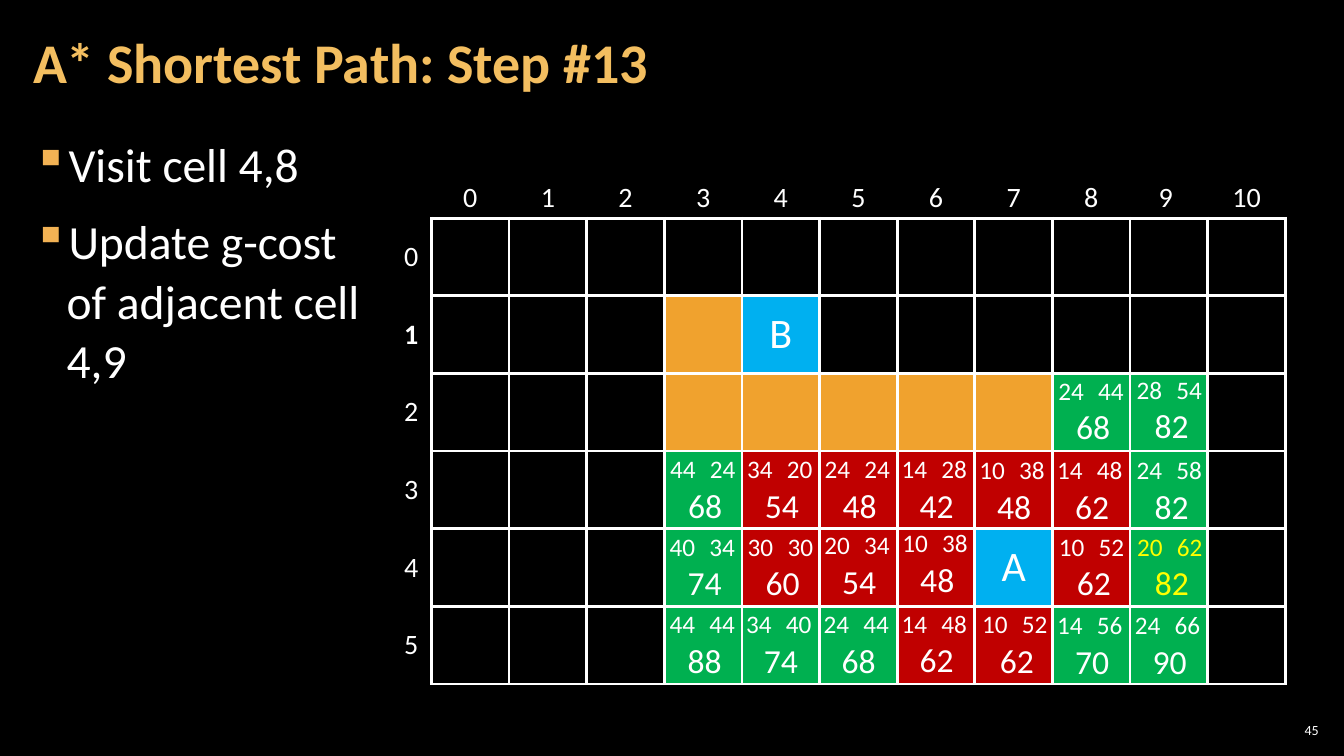
import pptx
import pptx.dml.color
import pptx.enum.text
import pptx.oxml
import pptx.oxml.ns
import pptx.util

Pt = pptx.util.Pt
ALIGN = pptx.enum.text.PP_ALIGN
MIDDLE = pptx.enum.text.MSO_ANCHOR.MIDDLE
NS = pptx.oxml.ns.nsdecls("a")
COLORS = {"black": "000000", "white": "FFFFFF", "title": "F3BE60", "bullet": "F2B254",
          "wall": "F0A22E", "end": "00B0F0", "open": "00B050", "closed": "C00000",
          "updated": "FFFF00"}


def rgb(name):
    return pptx.dml.color.RGBColor.from_string(COLORS[name])


def write(tf, lines, size, color="white", bold=False, align=ALIGN.LEFT):
    """Fill a text frame with one paragraph per line."""
    for i, line in enumerate(lines):
        p = tf.paragraphs[0] if i == 0 else tf.add_paragraph()
        p.text = line
        p.alignment = align
        for r in p.runs:
            r.font.name = "Calibri"
            r.font.size = Pt(size)
            r.font.bold = bold
            r.font.color.rgb = rgb(color)


prs = pptx.Presentation()
prs.slide_width, prs.slide_height = Pt(960), Pt(540)
s = prs.slides.add_slide(prs.slide_layouts[6])
s.background.fill.solid()
s.background.fill.fore_color.rgb = rgb("black")

# Title
tf = s.shapes.add_textbox(Pt(15), Pt(3), Pt(754), Pt(87)).text_frame
tf.word_wrap = True
tf.vertical_anchor = MIDDLE
tf.margin_left = tf.margin_right = Pt(8.6)
write(tf, ["A* Shortest Path: Step #13"], 40, "title", True)
tf.paragraphs[0].line_spacing = 0.9

# Bullets
tf = s.shapes.add_textbox(Pt(15), Pt(90.7), Pt(929.5), Pt(438.5)).text_frame
tf.word_wrap = True
tf.margin_left = tf.margin_right = Pt(8.6)
write(tf, ["Visit cell 4,8", "Update g-cost\nof adjacent cell\n4,9"], 34)
for i, p in enumerate(tf.paragraphs):
    p.line_spacing = 1.05
    p.space_before = Pt(6 if i else 0)
    p.space_after = Pt(6)
    pPr = p._p.get_or_add_pPr()
    pPr.set("marL", str(Pt(24)))
    pPr.set("indent", str(-Pt(24)))
    pPr.append(pptx.oxml.parse_xml(
        f'<a:buClr {NS}><a:srgbClr val="{COLORS["bullet"]}"/></a:buClr>'))
    pPr.append(pptx.oxml.parse_xml(f'<a:buChar {NS} char="▪"/>'))

# Slide number
tf = s.shapes.add_textbox(Pt(911), Pt(514), Pt(33.8), Pt(15)).text_frame
tf.word_wrap = True
tf.vertical_anchor = MIDDLE
tf.margin_left = tf.margin_right = tf.margin_top = tf.margin_bottom = Pt(2.9)
write(tf, ["45"], 10, align=ALIGN.RIGHT)

# Search grid: # wall, E end point, o open, x closed
GRID = ["...........",
        "...#E......",
        "...#####oo.",
        "...oxxxxxo.",
        "...oxxxExo.",
        "...oooxxoo."]
FILLS = {"#": "wall", "E": "end", "o": "open", "x": "closed"}
ENDS = {(1, 4): "B", (4, 7): "A"}
LEFT, TOP, HEAD, CELL = 279.4, 126, 28.8, 55.46
rows, cols = len(GRID), len(GRID[0])
frame = s.shapes.add_table(rows + 1, cols + 1, Pt(LEFT), Pt(TOP),
                           Pt(HEAD + cols * CELL), Pt(HEAD + rows * CELL))
table = frame.table
table.first_row = table.horz_banding = False
style = table._tbl.tblPr.find(pptx.oxml.ns.qn("a:tableStyleId"))
style.text = "{2D5ABB26-0587-4C30-8999-92F81FD0307C}"
for i, column in enumerate(table.columns):
    column.width = Pt(CELL if i else HEAD)
for i, row in enumerate(table.rows):
    row.height = Pt(CELL if i else HEAD)

for i in range(rows + 1):
    for j in range(cols + 1):
        cell = table.cell(i, j)
        r, c = i - 1, j - 1
        cell.vertical_anchor = MIDDLE
        cell.margin_left = cell.margin_right = Pt(5.8)
        cell.margin_top = cell.margin_bottom = Pt(2.9)
        # Borders
        if i and j:
            sides = "LRTB"
        else:
            sides = "B" if j else "R" if i else ""
        for side in sides:
            cell._tc.get_or_add_tcPr().append(pptx.oxml.parse_xml(
                f'<a:ln{side} {NS} w="{Pt(2.25)}"><a:solidFill>'
                f'<a:srgbClr val="{COLORS["white"]}"/></a:solidFill></a:ln{side}>'))
        # Fill
        kind = GRID[r][c] if i and j else "."
        if kind in FILLS:
            cell.fill.solid()
            cell.fill.fore_color.rgb = rgb(FILLS[kind])
        else:
            cell.fill.background()
        # Row and column numbers, end points
        if (r, c) in ENDS:
            write(cell.text_frame, [ENDS[r, c]], 30, align=ALIGN.CENTER)
        elif (i == 0) != (j == 0):
            label = str(r if i else c)
            if label == "9":
                label += " "
            write(cell.text_frame, [label], 20, bold=(i, j) == (2, 0), align=ALIGN.CENTER)

# Costs: (row, column): g, h, and the offset of the block from its cell
COSTS = {
    (2, 8): (24, 44, -3, -1.5), (2, 9): (28, 54, -2.5, -2),
    (3, 3): (44, 24, -3, -1), (3, 4): (34, 20, -3.5, -0.7), (3, 5): (24, 24, -3.5, -1),
    (3, 6): (14, 28, -4, -1), (3, 7): (10, 38, -4, -0.3), (3, 8): (14, 48, -3.8, -0.3),
    (3, 9): (24, 58, -2.5, -0.3),
    (4, 3): (40, 34, -3.3, -1), (4, 4): (30, 30, -3, -1), (4, 5): (20, 34, -3.8, -2),
    (4, 6): (10, 38, -3.5, -3.2), (4, 8): (10, 52, -2.5, -1), (4, 9): (20, 62, -2.2, -1),
    (5, 3): (44, 44, -3.3, -1), (5, 4): (34, 40, -4.2, -1), (5, 5): (24, 44, -4.2, -1),
    (5, 6): (14, 48, -4, -1.5), (5, 7): (10, 52, -2, -1), (5, 8): (14, 56, -3.8, -0.3),
    (5, 9): (24, 66, -3.8, -0.3),
}
for (row, col), (g, h, dx, dy) in COSTS.items():
    x = LEFT + HEAD + col * CELL + dx
    y = TOP + HEAD + row * CELL + dy
    color = "updated" if (row, col) == (4, 9) else "white"
    group = s.shapes.add_group_shape()
    for cost, left, top, width, height, size, align in (
            (g + h, 5, 22.3, 54, 36, 24, ALIGN.CENTER),
            (g, 0, 0, 36, 29, 18, ALIGN.LEFT),
            (h, 28.4, 0, 36, 29, 18, ALIGN.LEFT)):
        tf = group.shapes.add_textbox(Pt(x + left), Pt(y + top), Pt(width), Pt(height)).text_frame
        tf.word_wrap = True
        write(tf, [str(cost)], size, color, align=align)

prs.save("out.pptx")
